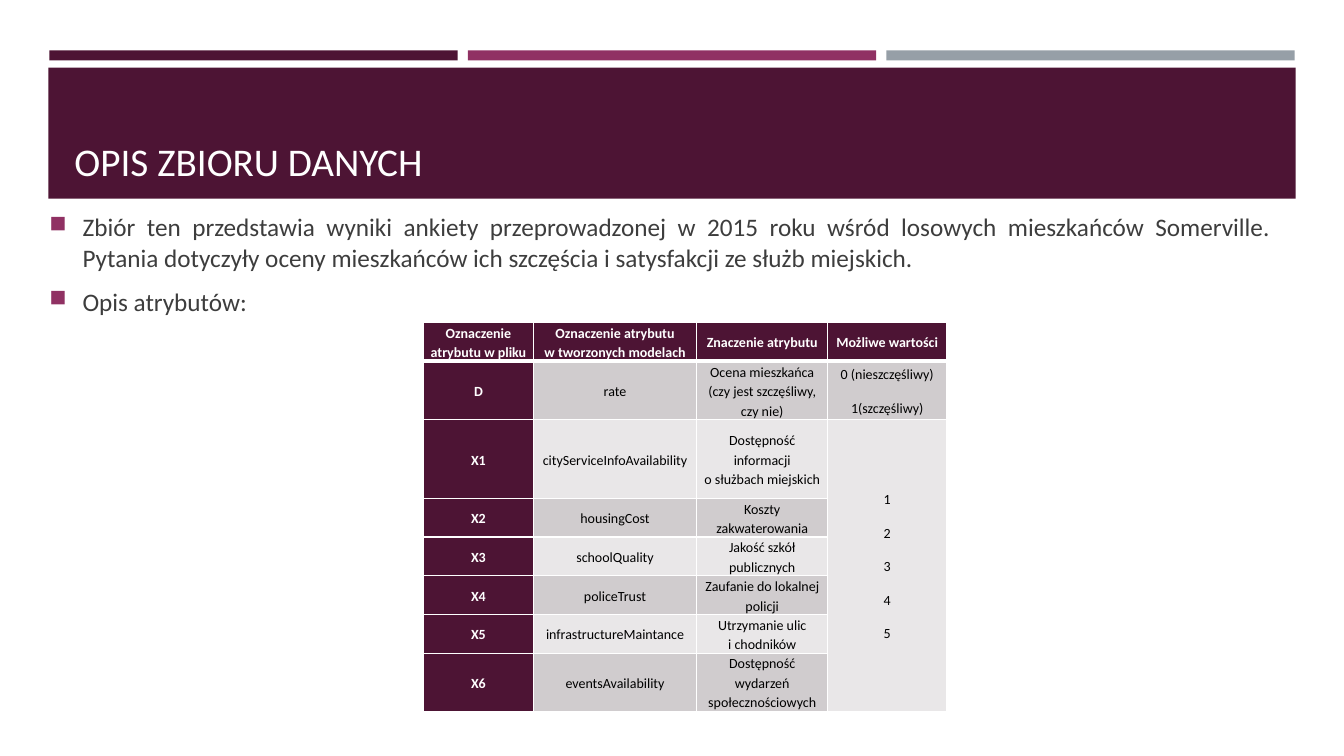
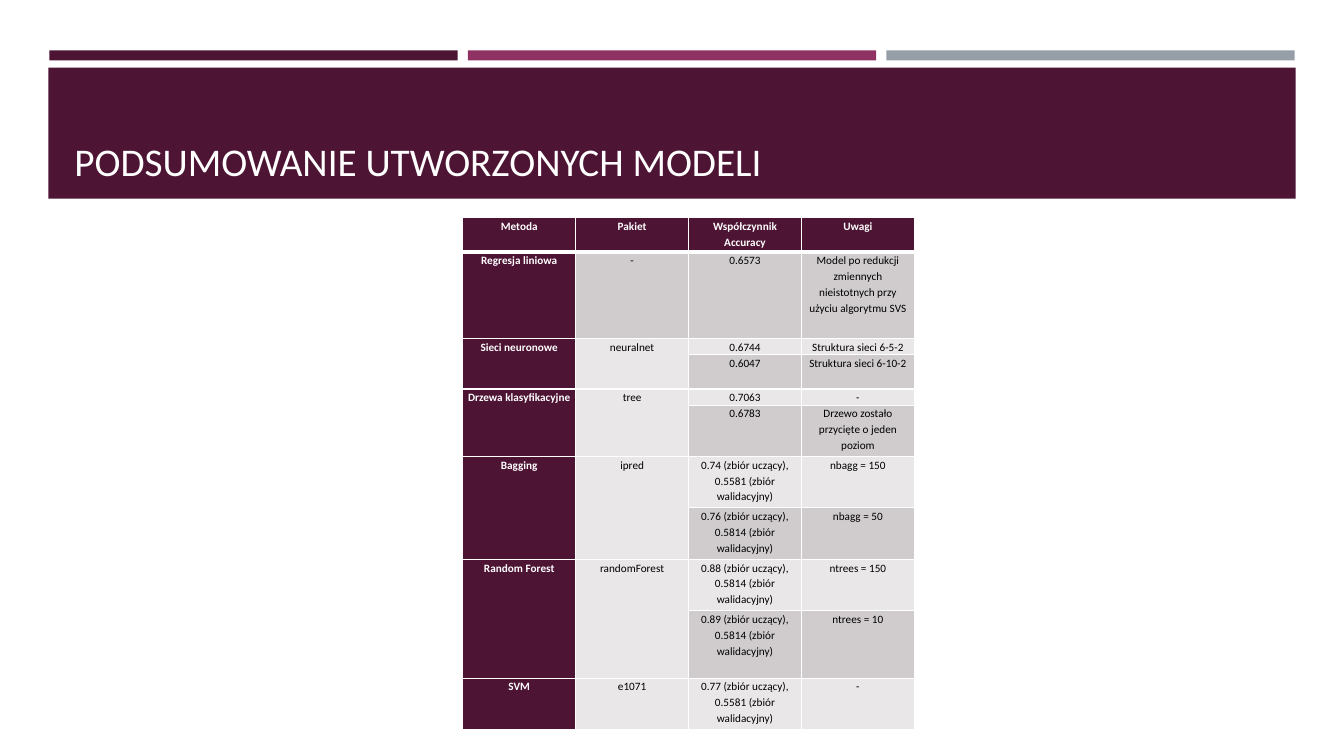
from lxml import etree
from pptx import Presentation
from pptx import util as u
from pptx.dml.color import RGBColor
from pptx.enum import shapes, text
from pptx.oxml.ns import qn

FONT = "Calibri"
PLUM, BERRY, GREY, WHITE = "4D1434", "903163", "969FA7", "FFFFFF"
INK, BLACK = "3D3D3D", "000000"
DARK_ROW, LIGHT_ROW = "D0CCCE", "E9E7E8"
STRIPES = [PLUM, BERRY, GREY]

SURVEY_TITLE = "OPIS ZBIORU DANYCH"
SURVEY_POINTS = [
    "Zbiór ten przedstawia wyniki ankiety przeprowadzonej w 2015 roku wśród losowych "
    "mieszkańców Somerville. Pytania dotyczyły oceny mieszkańców ich szczęścia i "
    "satysfakcji ze służb miejskich.",
    "Opis atrybutów:",
]
# None marks a cell that joins the one above it.
ATTRIBUTES = {
    "at": (4.2, 3.2),
    "columns": [1.09, 1.62, 1.3, 1.18],
    "heights": [0.38, 0.58, 0.78, 0.38, 0.38, 0.38, 0.38, 0.58],
    "size": 10,
    "inset": 0.06,
    "anchor": text.MSO_ANCHOR.MIDDLE,
    "rows": [
        ("Oznaczenie atrybutu w\u00a0pliku", "Oznaczenie atrybutu w\u00a0tworzonych modelach",
         "Znaczenie atrybutu", "Możliwe wartości"),
        ("D", "rate", "Ocena mieszkańca (czy jest szczęśliwy, czy nie)",
         "0 (nieszczęśliwy)\n1(szczęśliwy)"),
        ("X1", "cityServiceInfoAvailability",
         "Dostępność informacji o\u00a0służbach miejskich", "1\n2\n3\n4\n5"),
        ("X2", "housingCost", "Koszty zakwaterowania", None),
        ("X3", "schoolQuality", "Jakość szkół publicznych", None),
        ("X4", "policeTrust", "Zaufanie do lokalnej policji", None),
        ("X5", "infrastructureMaintance", "Utrzymanie ulic i\u00a0chodników", None),
        ("X6", "eventsAvailability", "Dostępność wydarzeń społecznościowych", None),
    ],
}

MODELS_TITLE = "PODSUMOWANIE UTWORZONYCH MODELI"
SCORES = "{} (zbiór uczący), {} (zbiór walidacyjny)"
MODELS = {
    "at": (4.59, 2.16),
    "columns": [1.12] * 4,
    "heights": [0.34, 0.86, 0.16, 0.34, 0.16, 0.51, 0.51, 0.51, 0.51, 0.67, 0.51],
    "size": 8,
    "inset": 0.05,
    "anchor": text.MSO_ANCHOR.TOP,
    "rows": [
        ("Metoda", "Pakiet", "Współczynnik Accuracy", "Uwagi"),
        ("Regresja liniowa", "-", "0.6573",
         "Model po redukcji zmiennych nieistotnych przy użyciu algorytmu SVS"),
        ("Sieci neuronowe", "neuralnet", "0.6744", "Struktura sieci 6-5-2"),
        (None, None, "0.6047", "Struktura sieci 6-10-2"),
        ("Drzewa klasyfikacyjne", "tree", "0.7063", "-"),
        (None, None, "0.6783", "Drzewo zostało przycięte o jeden poziom"),
        ("Bagging", "ipred", SCORES.format("0.74", "0.5581"), "nbagg = 150"),
        (None, None, SCORES.format("0.76", "0.5814"), "nbagg = 50"),
        ("Random Forest", "randomForest", SCORES.format("0.88", "0.5814"), "ntrees = 150"),
        (None, None, SCORES.format("0.89", "0.5814"), "ntrees = 10"),
        ("SVM", "e1071", SCORES.format("0.77", "0.5581"), "-"),
    ],
}


def color(value):
    """Turn a hex string into a colour."""
    return RGBColor.from_string(value)


def assign(target, values):
    """Set attributes from a dict."""
    for name, value in values.items():
        setattr(target, name, value)


def write(frame, lines, size, ink, bold=False, **layout):
    """Fill a text frame, one paragraph a line."""
    for index, line in enumerate(lines):
        para = frame.add_paragraph() if index else frame.paragraphs[0]
        assign(para, layout)
        span = para.add_run()
        span.text = line
        assign(span.font, {"name": FONT, "size": u.Pt(size), "bold": bold})
        span.font.color.rgb = color(ink)


def add_bar(page, left, top, width, height, fill):
    """Draw a plain filled rectangle."""
    bar = page.shapes.add_shape(shapes.MSO_SHAPE.RECTANGLE,
                                *map(u.Inches, (left, top, width, height)))
    bar.shadow.inherit = False
    bar.fill.solid()
    bar.fill.fore_color.rgb = color(fill)
    bar.line.fill.background()


def add_text(page, left, top, width, height, anchor):
    """Add a wrapping text box and return its frame."""
    box = page.shapes.add_textbox(*map(u.Inches, (left, top, width, height)))
    assign(box.text_frame, {"word_wrap": True, "vertical_anchor": anchor})
    return box.text_frame


def add_page(deck, title):
    """Add a slide with the stripes, title band and title."""
    page = deck.slides.add_slide(deck.slide_layouts[6])
    for index, fill in enumerate(STRIPES):
        add_bar(page, 0.49 + index * 4.15, 0.5, 4.05, 0.1, fill)
    add_bar(page, 0.48, 0.67, 12.37, 1.3, PLUM)
    frame = add_text(page, 0.64, 0.77, 12.06, 1.11, text.MSO_ANCHOR.BOTTOM)
    write(frame, [title], 28, WHITE)
    return page


def add_bullet(para):
    """Give a paragraph a hanging square bullet."""
    props = para._p.get_or_add_pPr()
    indent = u.Inches(0.33)
    props.set("marL", str(indent))
    props.set("indent", str(-indent))
    tint = etree.SubElement(props, qn("a:buClr"))
    etree.SubElement(tint, qn("a:srgbClr"), val=BERRY)
    etree.SubElement(props, qn("a:buSzPct"), val="92000")
    etree.SubElement(props, qn("a:buChar"), char="■")


def add_borders(cell, widths):
    """Draw white cell borders; widths maps a side to points."""
    props = cell._tc.get_or_add_tcPr()
    for side, width in widths.items():
        line = etree.SubElement(props, qn("a:ln" + side), w=str(u.Pt(width)))
        fill = etree.SubElement(line, qn("a:solidFill"))
        etree.SubElement(fill, qn("a:srgbClr"), val=WHITE)


def merge_down(table, rows):
    """Join every run of None cells with the cell above it."""
    for col in range(len(rows[0])):
        starts = [row for row, values in enumerate(rows) if values[col] is not None]
        for start, after in zip(starts, starts[1:] + [len(rows)]):
            if after - start > 1:
                table.cell(start, col).merge(table.cell(after - 1, col))


def add_grid(page, grid):
    """Add a table with a plum header row and first column."""
    rows, columns, heights = grid["rows"], grid["columns"], grid["heights"]
    extent = (*grid["at"], sum(columns), sum(heights))
    table = page.shapes.add_table(len(rows), len(columns), *map(u.Inches, extent)).table
    for column, width in zip(table.columns, columns):
        column.width = u.Inches(width)
    for row, height in zip(table.rows, heights):
        row.height = u.Inches(height)
    merge_down(table, rows)
    side = u.Inches(grid["inset"])
    cell_format = {"margin_left": side, "margin_right": side, "margin_top": 0,
                   "margin_bottom": 0, "vertical_anchor": grid["anchor"]}
    for row, values in enumerate(rows):
        for col, value in enumerate(values):
            if value is None:
                continue
            cell = table.cell(row, col)
            heading = row == 0 or col == 0
            assign(cell, cell_format)
            add_borders(cell, {"L": 1, "R": 1, "T": 3 if row == 1 else 1,
                               "B": 3 if row == 0 else 1})
            cell.fill.solid()
            band = DARK_ROW if row % 2 else LIGHT_ROW
            cell.fill.fore_color.rgb = color(PLUM if heading else band)
            write(cell.text_frame, value.split("\n"), grid["size"],
                  WHITE if heading else BLACK, heading, alignment=text.PP_ALIGN.CENTER,
                  line_spacing=1.15, space_after=u.Pt(10))


deck = Presentation()
assign(deck, {"slide_width": u.Inches(13.33), "slide_height": u.Inches(7.5)})

survey = add_page(deck, SURVEY_TITLE)
points = add_text(survey, 0.39, 2.05, 12.31, 1.28, text.MSO_ANCHOR.TOP)
write(points, SURVEY_POINTS, 18, INK, alignment=text.PP_ALIGN.JUSTIFY,
      space_before=u.Pt(4), space_after=u.Pt(6))
for point in points.paragraphs:
    add_bullet(point)
add_grid(survey, ATTRIBUTES)

models = add_page(deck, MODELS_TITLE)
add_grid(models, MODELS)

deck.save("out.pptx")
